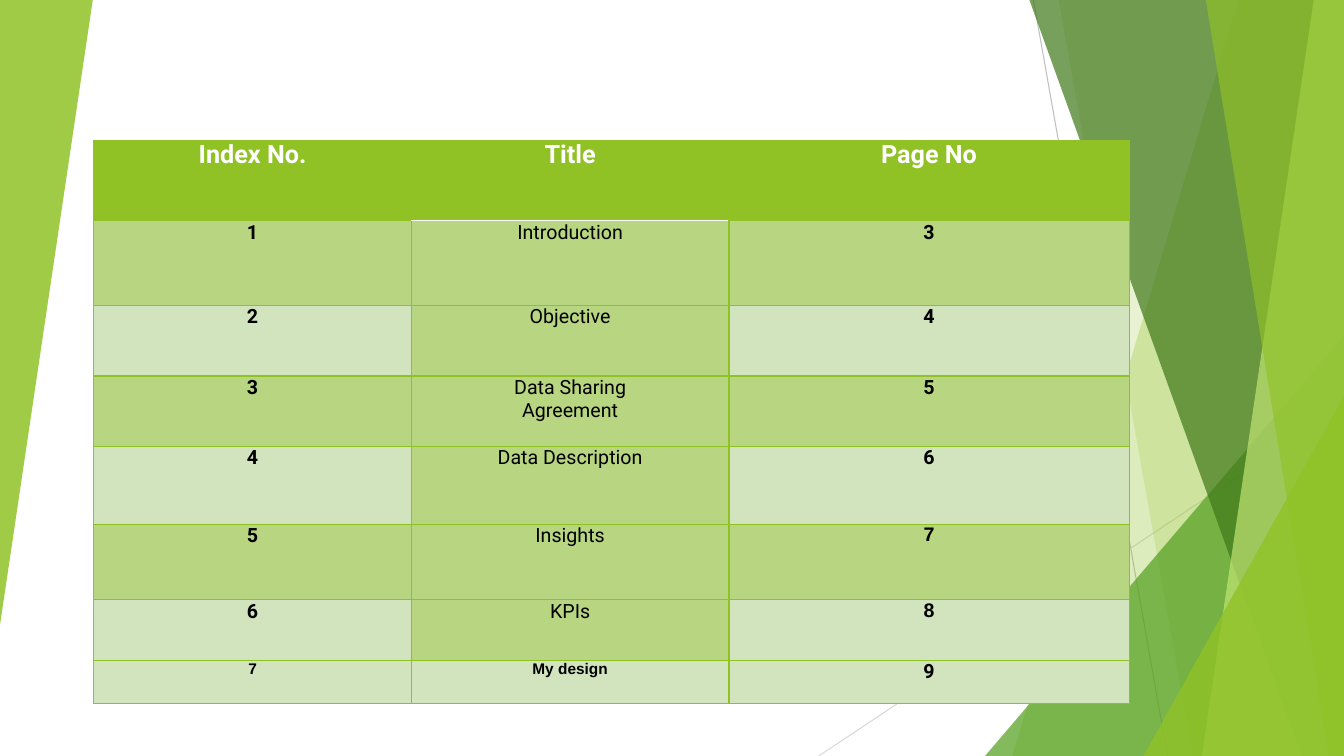
from lxml.etree import SubElement
from pptx import Presentation
from pptx.dml.color import RGBColor
from pptx.enum.shapes import MSO_CONNECTOR, MSO_SHAPE
from pptx.enum.text import PP_ALIGN
from pptx.oxml.ns import qn
from pptx.util import Inches, Pt

GREEN = RGBColor(0x90, 0xC2, 0x26)
LEAF = RGBColor(0x54, 0xA0, 0x21)
FOREST = RGBColor(0x3F, 0x78, 0x19)
LIME = RGBColor(0xC0, 0xE4, 0x74)
DARK_BAND = RGBColor(0xB8, 0xD5, 0x81)
LIGHT_BAND = RGBColor(0xD2, 0xE4, 0xBE)
GRAY = RGBColor(0xBF, 0xBF, 0xBF)
PALE_GRAY = RGBColor(0xD9, 0xD9, 0xD9)
WHITE = RGBColor(0xFF, 0xFF, 0xFF)
BLACK = RGBColor(0x00, 0x00, 0x00)

WIDTH, HEIGHT = 13.33, 7.5
COLUMN_WIDTHS = (3.15, 3.15, 3.97)
ROW_HEIGHTS = (0.8, 0.84, 0.7, 0.7, 0.77, 0.75, 0.6, 0.43)
SPACES_BEFORE = (2.6, 2.5, 3.5, 3.6, 3.6, 3.6, 3.6, 3.6)
HEADINGS = ("Index No.", "Title", "Page No")
TOPICS = ("Introduction", "Objective", "Data Sharing Agreement",
          "Data Description", "Insights", "KPIs", "My design")
FIRST_PAGE = 3
ARIAL_CELLS = {(5, 2), (6, 2), (7, 0), (7, 1)}


def paint(shape, color, opacity):
    """Give a shape a translucent fill without outline or shadow."""
    shape.shadow.inherit = False
    shape.line.fill.background()
    shape.fill.solid()
    shape.fill.fore_color.rgb = color
    color_node = shape.fill._xPr.find(qn("a:solidFill"))[0]
    SubElement(color_node, qn("a:alpha"), val=str(opacity * 1000))


def add_facet(slide, top_left, bottom_left, color, opacity):
    """Draw a full-height facet that reaches the right slide edge."""
    corners = [(Inches(x), Inches(y)) for x, y in (
        (top_left, 0), (WIDTH, 0), (WIDTH, HEIGHT), (bottom_left, HEIGHT))]
    outline = slide.shapes.build_freeform(*corners[0], scale=1.0)
    outline.add_line_segments(corners[1:], close=True)
    paint(outline.convert_to_shape(), color, opacity)


def add_wedge(slide, left, top, width, height, color, opacity, rotation=0):
    """Draw a right-angled triangle."""
    wedge = slide.shapes.add_shape(
        MSO_SHAPE.ISOSCELES_TRIANGLE,
        Inches(left), Inches(top), Inches(width), Inches(height))
    wedge.adjustments[0] = 1
    wedge.rotation = rotation
    paint(wedge, color, opacity)


def add_ray(slide, start, end, color):
    """Draw a thin straight line."""
    ray = slide.shapes.add_connector(
        MSO_CONNECTOR.STRAIGHT, *(Inches(v) for v in (*start, *end)))
    ray.line.color.rgb = color
    ray.line.width = Pt(0.75)
    SubElement(ray._element.spPr, qn("a:effectLst"))


def write(cell, text, size=14, font="Roboto", color=BLACK, bold=True,
          before=3.6, indent=0.01):
    """Write centred text with equal side indents into a cell."""
    cell.margin_left = cell.margin_right = 0
    cell.margin_top = cell.margin_bottom = 0
    paragraph = cell.text_frame.paragraphs[0]
    paragraph.alignment = PP_ALIGN.CENTER
    paragraph.space_before = Pt(before)
    properties = paragraph._p.get_or_add_pPr()
    for side in ("marL", "marR"):
        properties.set(side, str(Inches(indent)))
    run = paragraph.add_run()
    run.text = text
    run.font.size = Pt(size)
    run.font.name = font
    run.font.bold = bold
    run.font.color.rgb = color


def style_cell(cell, fill, top=GREEN, bottom=GREEN):
    """Set the borders and the fill of a cell."""
    properties = cell._tc.get_or_add_tcPr()
    sides = {"lnL": GREEN, "lnR": GREEN, "lnT": top, "lnB": bottom}
    for side, color in sides.items():
        border = SubElement(properties, qn(f"a:{side}"), w=str(Pt(1)))
        solid = SubElement(border, qn("a:solidFill"))
        SubElement(solid, qn("a:srgbClr"), val=str(color))
    cell.fill.solid()
    cell.fill.fore_color.rgb = fill


def add_index(slide):
    """Add the table of contents."""
    entries = [(str(number), topic, str(number + FIRST_PAGE - 1))
               for number, topic in enumerate(TOPICS, 1)]
    rows = [HEADINGS, *entries]
    index = slide.shapes.add_table(
        len(rows), len(HEADINGS), Inches(0.93), Inches(1.39),
        Inches(sum(COLUMN_WIDTHS)), Inches(sum(ROW_HEIGHTS))).table
    index.horz_banding = False
    for column, width in zip(index.columns, COLUMN_WIDTHS):
        column.width = Inches(width)
    last = len(rows) - 1
    for r, texts in enumerate(rows):
        index.rows[r].height = Inches(ROW_HEIGHTS[r])
        for c, text in enumerate(texts):
            cell = index.cell(r, c)
            header, topic = r == 0, c == 1
            arial = (r, c) in ARIAL_CELLS
            write(cell, text,
                  size=18 if header else 11 if r == last and c < 2 else 14,
                  font="Arial" if arial else "Roboto",
                  color=WHITE if header else BLACK,
                  bold=header or not topic or r == last,
                  before=SPACES_BEFORE[r],
                  indent=0.58 if header or topic else 0.01)
            dark = r != last and (topic or r % 2 == 1)
            fill = GREEN if header else DARK_BAND if dark else LIGHT_BAND
            style_cell(cell, fill,
                       top=WHITE if topic and r == 1 else GREEN,
                       bottom=WHITE if topic and header else GREEN)


def add_backdrop(slide):
    """Draw the green facets along both slide edges."""
    add_ray(slide, (10.25, 0), (11.58, HEIGHT), GRAY)
    add_ray(slide, (WIDTH, 4.03), (8.12, HEIGHT), PALE_GRAY)
    add_facet(slide, 12.28, 10.04, GREEN, 30)
    add_facet(slide, 10.5, 11.83, GREEN, 20)
    add_wedge(slide, 9.77, 3.33, 3.56, 4.17, LEAF, 72)
    add_facet(slide, 10.21, 12.91, FOREST, 70)
    add_facet(slide, 13.03, 11.92, LIME, 70)
    add_facet(slide, 11.96, 13.18, GREEN, 65)
    add_wedge(slide, 11.34, 3.93, 1.99, 3.57, GREEN, 80)
    add_wedge(slide, 0, 0, 0.92, 6.2, GREEN, 85, rotation=180)


def main():
    """Build and save the index slide."""
    deck = Presentation()
    deck.slide_width, deck.slide_height = Inches(WIDTH), Inches(HEIGHT)
    slide = deck.slides.add_slide(deck.slide_layouts[6])
    add_backdrop(slide)
    add_index(slide)
    deck.save("out.pptx")


if __name__ == "__main__":
    main()
